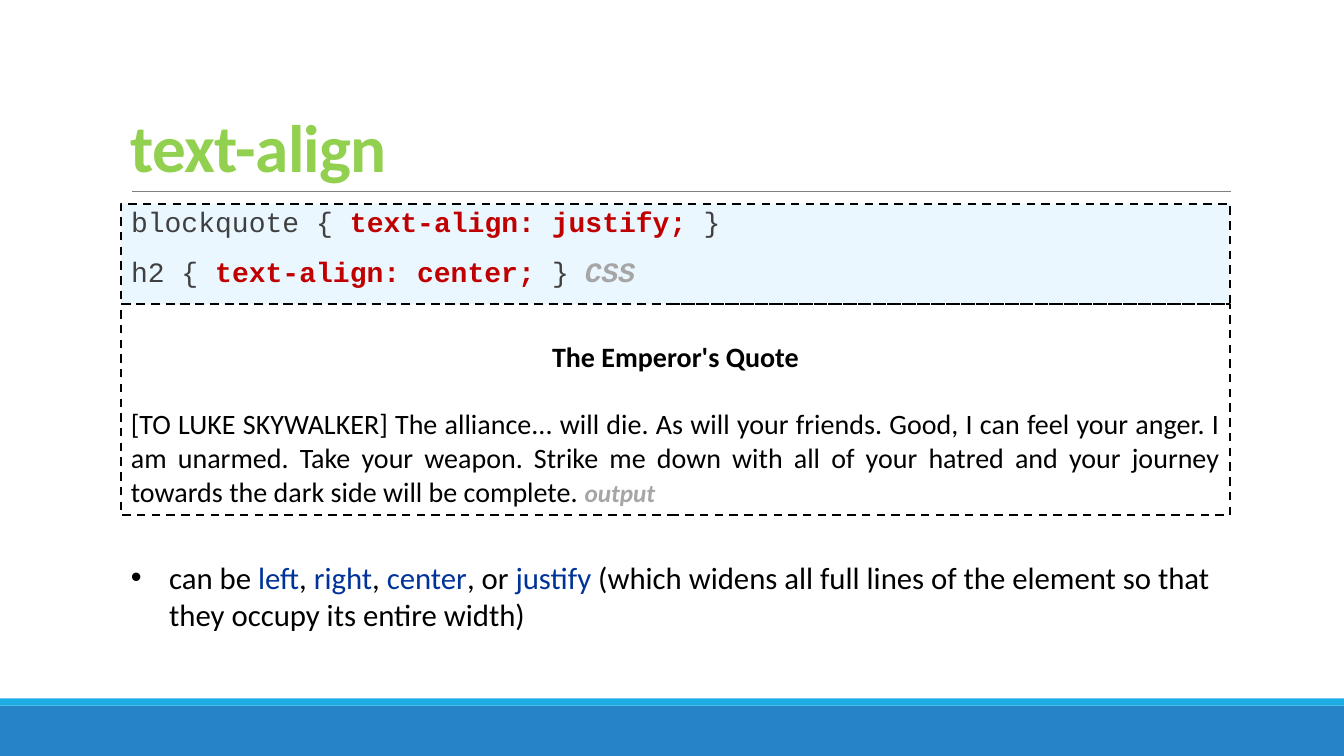
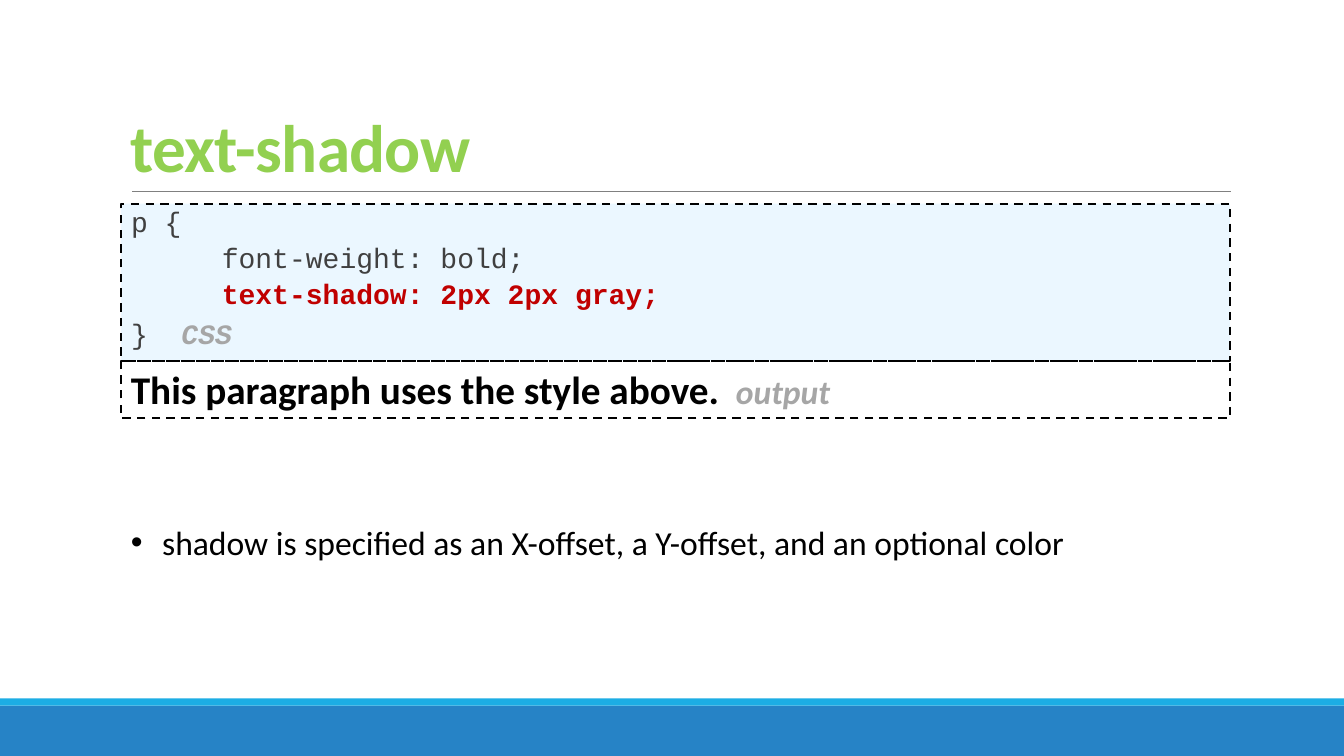
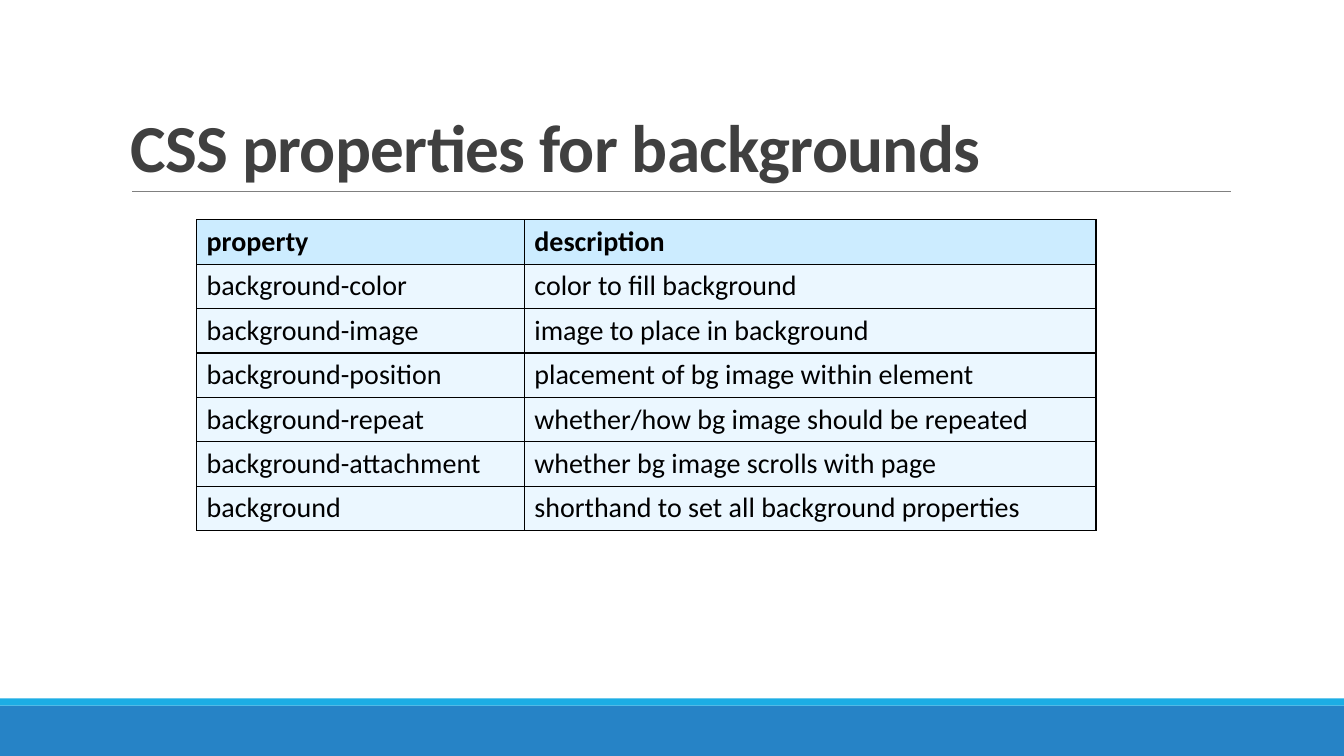
from lxml import etree
from pptx import Presentation
from pptx import util as u
from pptx.dml.color import RGBColor
from pptx.enum import dml, shapes, text
from pptx.oxml import ns

BLUE = RGBColor(0x26, 0x83, 0xC6)
CYAN = RGBColor(0x1C, 0xAD, 0xE4)
GREEN = RGBColor(0x92, 0xD0, 0x50)
RED = RGBColor(0xC0, 0x00, 0x00)
NAVY = RGBColor(0x00, 0x33, 0x99)
DARK = RGBColor(0x40, 0x40, 0x40)
RULE = RGBColor(0x80, 0x80, 0x80)
LABEL = RGBColor(0xA6, 0xA6, 0xA6)
BLACK = RGBColor(0, 0, 0)
PALE = RGBColor(0xEB, 0xF7, 0xFF)
HEAD = RGBColor(0xCC, 0xEC, 0xFF)
SANS, MONO = "Calibri", "Courier New"
LEFT, WIDTH, PAD = 1.2, 11, 0.1
TOP = 2.02

prs = Presentation()
prs.slide_width, prs.slide_height = u.Inches(13.33), u.Inches(7.5)


def add_box(s, at, fill=None, dashed=False):
    sp = s.shapes.add_shape(shapes.MSO_SHAPE.RECTANGLE, *map(u.Inches, at))
    sp.shadow.inherit = False
    if fill is None:
        sp.fill.background()
    else:
        sp.fill.solid()
        sp.fill.fore_color.rgb = fill
    if dashed:
        sp.line.color.rgb = BLACK
        sp.line.width = u.Pt(1.5)
        sp.line.dash_style = dml.MSO_LINE.DASH
    else:
        sp.line.fill.background()
    tf = sp.text_frame
    tf.word_wrap = True
    tf.vertical_anchor = text.MSO_ANCHOR.TOP
    return tf


def add_text(tf, runs, size, font=SANS, indent=0, hang=0, bullet=False, tab=None):
    p = tf.paragraphs[0]
    if p.runs:
        p = tf.add_paragraph()
    p.alignment = text.PP_ALIGN.LEFT
    pPr = p._p.get_or_add_pPr()
    pPr.set("marL", str(u.Inches(indent)))
    pPr.set("indent", str(-u.Inches(hang)))
    if bullet:
        etree.SubElement(pPr, ns.qn("a:buFont"), typeface="Arial")
        etree.SubElement(pPr, ns.qn("a:buChar"), char="•")
    if tab:
        tabs = etree.SubElement(pPr, ns.qn("a:tabLst"))
        etree.SubElement(tabs, ns.qn("a:tab"), pos=str(u.Inches(tab)), algn="r")
    for words, color, *style in runs:
        r = p.add_run()
        r.text = words
        r.font.name, r.font.size = font, u.Pt(size)
        r.font.color.rgb = color
        r.font.bold, r.font.italic = "b" in style, "i" in style
    return p


slides = []
for title, color in [("text-align", GREEN), ("text-shadow", GREEN),
                     ("CSS properties for backgrounds", DARK)]:
    s = prs.slides.add_slide(prs.slide_layouts[6])
    slides.append(s)
    add_box(s, (0, 7, 13.33, 0.5), BLUE)
    add_box(s, (0, 6.93, 13.33, 0.07), CYAN)
    rule = s.shapes.add_connector(
        shapes.MSO_CONNECTOR.STRAIGHT, *map(u.Inches, (1.31, 1.9, 12.21, 1.9)))
    rule.line.color.rgb = RULE
    rule.line.width = u.Pt(0.5)
    etree.SubElement(rule._element.spPr, ns.qn("a:effectLst"))
    tf = add_box(s, (LEFT, 0.31, WIDTH, 1.59))
    tf.vertical_anchor = text.MSO_ANCHOR.BOTTOM
    p = add_text(tf, [(title, color, "b")], 48)
    p.line_spacing = 0.85
    p.runs[0].font._element.set("spc", "-50")

css = ("\tCSS", LABEL, "b", "i")
output = ("\toutput", LABEL, "b", "i")
align, shadow, backgrounds = slides

codes = [
    (align, 1, 12, [
        [("blockquote { ", DARK), ("text-align: justify;", RED, "b"), (" }", DARK)],
        [("h2 { ", DARK), ("text-align: center; ", RED, "b"), ("}", DARK), css]]),
    (shadow, 1.56, 2, [
        [("p {", DARK)],
        [("font-weight: bold;", DARK)],
        [("text-shadow: 2px 2px gray;", RED, "b")],
        [("}", DARK), css]]),
]
for s, height, before, lines in codes:
    tf = add_box(s, (LEFT, TOP, WIDTH, height), PALE, dashed=True)
    tf.margin_left = tf.margin_right = 0
    for i, runs in enumerate(lines):
        inner = 0 < i < len(lines) - 1
        p = add_text(tf, runs, 20, MONO, indent=1 if inner else PAD,
                     tab=10.8 if css in runs else None)
        p.line_spacing = 1.0 if s is shadow and css in runs else 0.9
        p.space_before, p.space_after = u.Pt(before), u.Pt(2)

tf = add_box(align, (LEFT, TOP + 1, WIDTH, 2.09), dashed=True)
tf.margin_top = u.Inches(0.35)
p = add_text(tf, [("The Emperor's Quote", BLACK, "b")], 20)
p.alignment = text.PP_ALIGN.CENTER
p = add_text(tf, [(
    "[TO LUKE SKYWALKER] The alliance... will die. As will your friends. Good, "
    "I can feel your anger. I am unarmed. Take your weapon. Strike me down with "
    "all of your hatred and your journey towards the dark side will be complete.",
    BLACK), output], 20, tab=10.73)
p.alignment = text.PP_ALIGN.JUSTIFY
p.space_before = u.Pt(24)
p.runs[-1].font.size = u.Pt(18)

tf = add_box(shadow, (LEFT, TOP + 1.56, WIDTH, 0.57), dashed=True)
p = add_text(tf, [("This paragraph uses the style above.", BLACK, "b"), output],
             28, tab=10.72)
p.runs[-1].font.size = u.Pt(24)

choices = [("can be ", BLACK)]
for word, after in [("left", ", "), ("right", ", "), ("center", ", or "),
                    ("justify", " (which widens all full lines of the element "
                                "so that they occupy its entire width)")]:
    choices += [(word, NAVY), (after, BLACK)]
offsets = [("shadow is specified as an X-offset, a Y-offset, and an optional color", BLACK)]
for s, y, height, size, hang, runs in [(align, 5.49, 0.84, 22, 0.38, choices),
                                       (shadow, 5.13, 0.5, 24, 0.31, offsets)]:
    tf = add_box(s, (LEFT, y, WIDTH, height))
    add_text(tf, runs, size, indent=hang, hang=hang, bullet=True)

rows = [
    ("property", "description"),
    ("background-color", "color to fill background"),
    ("background-image", "image to place in background"),
    ("background-position", "placement of bg image within element"),
    ("background-repeat", "whether/how bg image should be repeated"),
    ("background-attachment", "whether bg image scrolls with page"),
    ("background", "shorthand to set all background properties"),
]
cols = [3.25, 5.67]
tbl = backgrounds.shapes.add_table(
    len(rows), len(cols), *map(u.Inches, (1.95, 2.18, sum(cols), 0.44 * len(rows)))).table
tbl.horz_banding = False
for col, width in zip(tbl.columns, cols):
    col.width = u.Inches(width)
for i, row in enumerate(rows):
    for j, words in enumerate(row):
        cell = tbl.cell(i, j)
        cell.vertical_anchor = text.MSO_ANCHOR.MIDDLE
        add_text(cell.text_frame, [(words, BLACK, "" if i else "b")], 20)
        tcPr = cell._tc.get_or_add_tcPr()
        for side in ("lnL", "lnR", "lnT", "lnB"):
            ln = etree.SubElement(tcPr, ns.qn("a:" + side), w=str(u.Pt(1)))
            solid = etree.SubElement(ln, ns.qn("a:solidFill"))
            etree.SubElement(solid, ns.qn("a:srgbClr"), val=str(BLACK))
        cell.fill.solid()
        cell.fill.fore_color.rgb = PALE if i else HEAD

prs.save("out.pptx")
